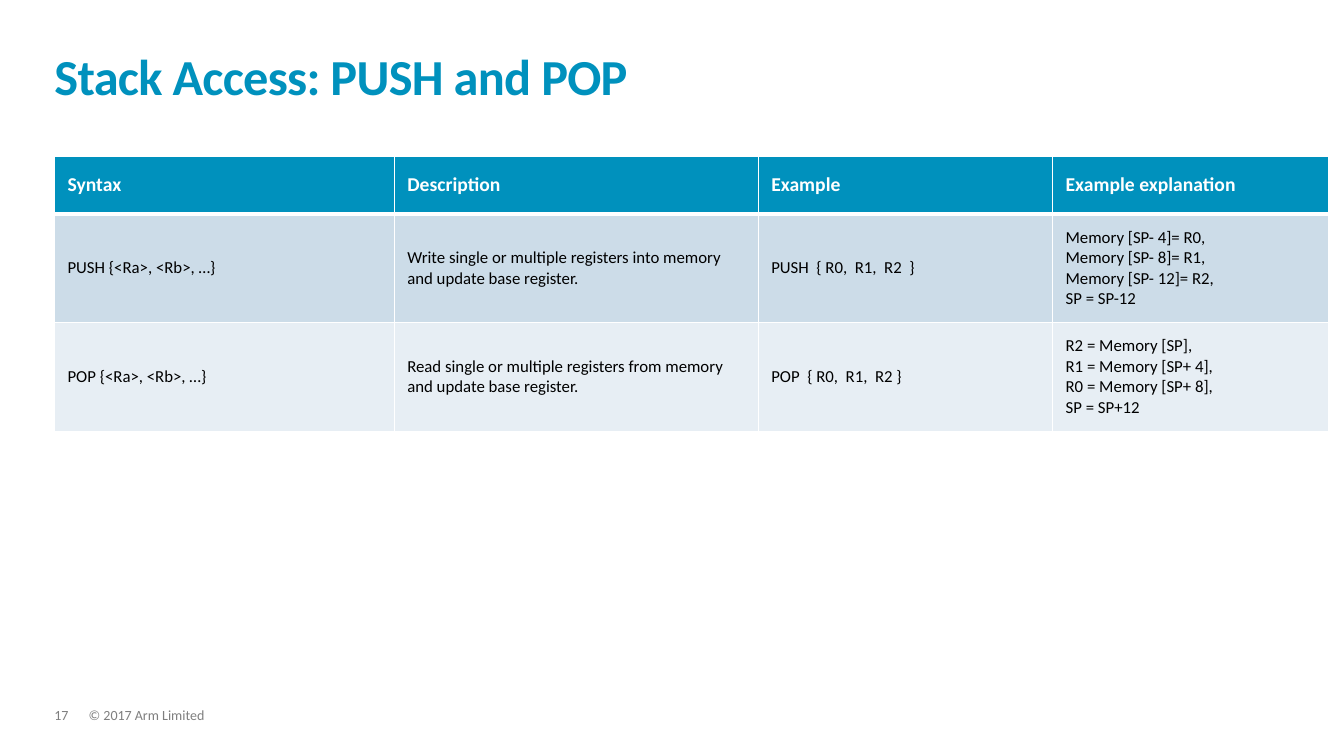
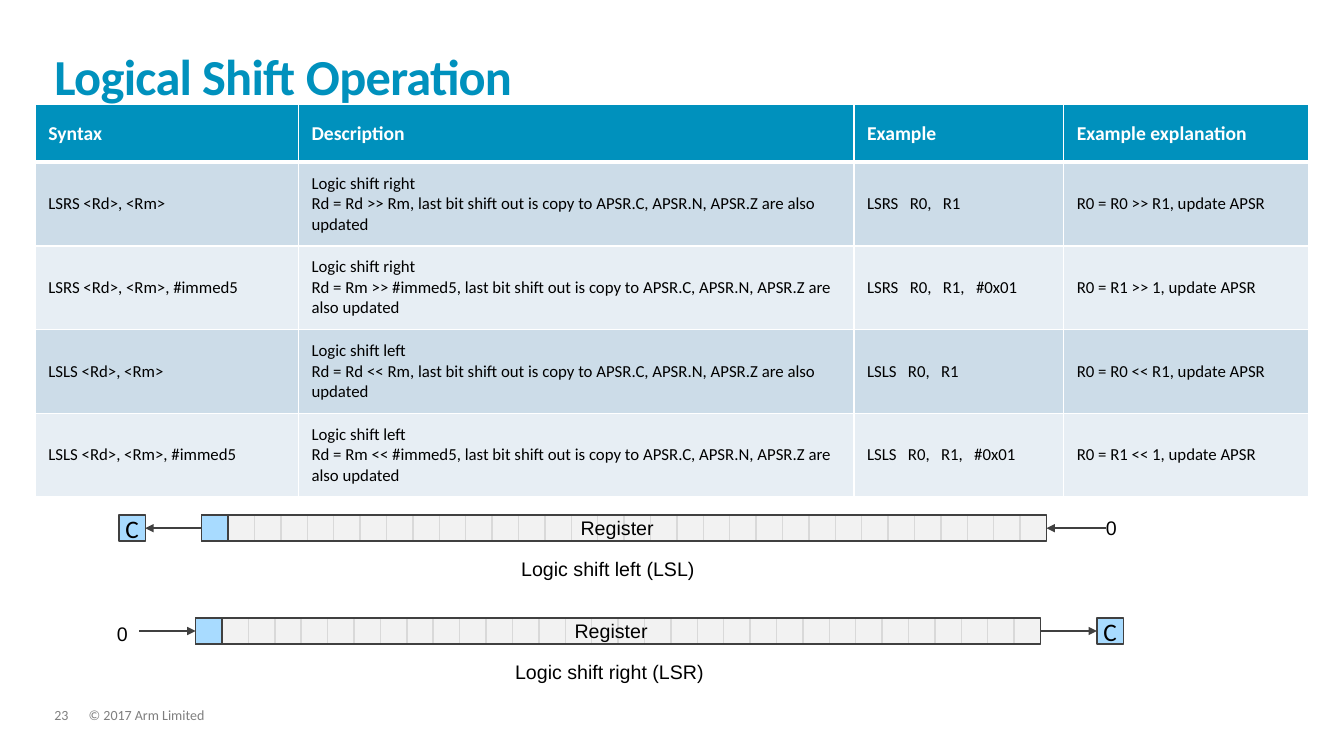
"""Build two slides on stack access and logical shifts."""
import lxml.etree
import pptx
import pptx.dml.color
import pptx.enum.shapes
import pptx.enum.text
import pptx.oxml.ns
import pptx.util

HEAD = ("Syntax", "Description", "Example", "Example explanation")
FLAGS = "last bit shift out is copy to APSR.C, APSR.N, APSR.Z are also updated"
PAGES = [
    {
        "title": "Stack Access: PUSH and POP",
        "page": "17",
        "spot": (0.54, 1.55),
        "cols": (3.37, 3.61, 2.92, 2.74),
        "deep": 1.08,
        "rows": [
            ("PUSH {<Ra>, <Rb>, …}",
             "Write single or multiple registers into memory and update base register.",
             "PUSH  { R0,  R1,  R2  }",
             "Memory [SP- 4]= R0,\nMemory [SP- 8]= R1,\nMemory [SP- 12]= R2,\nSP = SP-12"),
            ("POP {<Ra>, <Rb>, …}",
             "Read single or multiple registers from memory and update base register.",
             "POP  { R0,  R1,  R2 }",
             "R2 = Memory [SP],\nR1 = Memory [SP+ 4],\nR0 = Memory [SP+ 8],\nSP = SP+12"),
        ],
        "shifts": [],
    },
    {
        "title": "Logical Shift Operation",
        "page": "23",
        "spot": (0.35, 1.04),
        "cols": (2.61, 5.51, 2.08, 2.43),
        "deep": 0.83,
        "rows": [
            ("LSRS <Rd>, <Rm>", f"Logic shift right\nRd = Rd >> Rm, {FLAGS}",
             "LSRS   R0,   R1", "R0 = R0 >> R1, update APSR"),
            ("LSRS <Rd>, <Rm>, #immed5", f"Logic shift right\nRd = Rm >> #immed5, {FLAGS}",
             "LSRS   R0,   R1,   #0x01", "R0 = R1 >> 1, update APSR"),
            ("LSLS <Rd>, <Rm>", f"Logic shift left\nRd = Rd << Rm, {FLAGS}",
             "LSLS   R0,   R1", "R0 = R0 << R1, update APSR"),
            ("LSLS <Rd>, <Rm>, #immed5", f"Logic shift left\nRd = Rm << #immed5, {FLAGS}",
             "LSLS   R0,   R1,   #0x01", "R0 = R1 << 1, update APSR"),
        ],
        "shifts": [
            {"name": "Logic shift left (LSL)", "left": 2, "top": 5.11, "carry": 1.18,
             "zero": (10.87, 5.07), "arrows": [(2, 1.44), (10.97, 10.38)]},
            {"name": "Logic shift right (LSR)", "left": 1.94, "top": 6.13, "carry": 10.88,
             "zero": (1.06, 6.12), "arrows": [(10.32, 10.88), (1.38, 1.94)]},
        ],
    },
]
BITS = 32
SPAN = 8.38
BIT = SPAN / BITS
TALL = 0.26

Inches = pptx.util.Inches
Pt = pptx.util.Pt
qn = pptx.oxml.ns.qn
ANCHOR = pptx.enum.text.MSO_ANCHOR
RECT = pptx.enum.shapes.MSO_SHAPE.RECTANGLE


class Theme:
    sans, plain = "Calibri", "Arial"
    blue, white, black, gray = "0091BD", "FFFFFF", "000000", "7F7F7F"
    bands = ("CCDCE8", "E7EEF4")
    pale, rule, dark, sky = "F2F2F2", "D9D9D9", "404040", "A8DBFF"
    title, carry, label, body, foot = 36, 18, 14, 12, 10


def tint(code):
    return pptx.dml.color.RGBColor.from_string(code)


def style(frame, size, color=Theme.black, font=Theme.sans, bold=False):
    for par in frame.paragraphs:
        for run in par.runs:
            run.font.name = font
            run.font.size = Pt(size)
            run.font.bold = bold
            run.font.color.rgb = tint(color)


def write(slide, text, at, size, color=Theme.black, font=Theme.sans, bold=False, grow=True):
    frame = slide.shapes.add_textbox(*map(Inches, at)).text_frame
    frame.word_wrap = True
    kind = pptx.enum.text.MSO_AUTO_SIZE
    frame.auto_size = kind.SHAPE_TO_FIT_TEXT if grow else kind.NONE
    frame.text = text
    style(frame, size, color, font, bold)
    return frame


def trim(frame):
    frame.margin_left = frame.margin_top = frame.margin_right = frame.margin_bottom = 0


def add_frame(slide, title, page):
    for text, left, wide in (("© 2017 Arm Limited", 0.88, 9.13), (page, 0.54, 0.34)):
        foot = write(slide, text, (left, 7.03, wide, 0.15), Theme.foot, Theme.gray)
        trim(foot)
        foot.paragraphs[0].line_spacing = 0.9
        foot.paragraphs[0].space_after = Pt(6)
    head = write(slide, title, (0.54, 0.32, 12.23, 0.73), Theme.title, Theme.blue,
                 bold=True, grow=False)
    trim(head)
    head.vertical_anchor = ANCHOR.BOTTOM
    par = head.paragraphs[0]
    par.line_spacing = 0.85
    par.runs[0].font._element.set("spc", "-50")


def edge(cell, first):
    props = cell._tc.get_or_add_tcPr()
    for side in "LRTB":
        width = Pt(3 if first and side == "B" else 1)
        line = lxml.etree.SubElement(props, qn(f"a:ln{side}"), w=str(int(width)))
        fill = lxml.etree.SubElement(line, qn("a:solidFill"))
        lxml.etree.SubElement(fill, qn("a:srgbClr"), val=Theme.white)


def add_grid(slide, page):
    rows = [HEAD, *page["rows"]]
    highs = [0.57] + [page["deep"]] * len(page["rows"])
    size = (sum(page["cols"]), sum(highs))
    grid = slide.shapes.add_table(len(rows), len(HEAD),
                                  *map(Inches, (*page["spot"], *size))).table
    for col, wide in zip(grid.columns, page["cols"]):
        col.width = Inches(wide)
    for y, (row, high) in enumerate(zip(rows, highs)):
        grid.rows[y].height = Inches(high)
        first = y == 0
        for x, text in enumerate(row):
            cell = grid.cell(y, x)
            edge(cell, first)
            cell.fill.solid()
            cell.fill.fore_color.rgb = tint(Theme.blue if first else Theme.bands[(y - 1) % 2])
            cell.vertical_anchor = ANCHOR.MIDDLE
            cell.margin_left = cell.margin_right = Inches(0.13)
            cell.margin_top = cell.margin_bottom = Inches(0.05)
            cell.text_frame.text = text
            if first:
                style(cell.text_frame, Theme.label, Theme.white, bold=True)
            else:
                style(cell.text_frame, Theme.body)


def add_box(slide, left, top, wide, line, fill=None):
    box = slide.shapes.add_shape(RECT, *map(Inches, (left, top, wide, TALL)))
    box.shadow.inherit = False
    if fill:
        box.fill.solid()
        box.fill.fore_color.rgb = tint(fill)
    else:
        box.fill.background()
    box.line.color.rgb = tint(line)
    box.line.width = Pt(1)
    return box


def add_arrow(slide, start, end, y):
    kind = pptx.enum.shapes.MSO_CONNECTOR.STRAIGHT
    arrow = slide.shapes.add_connector(kind, *map(Inches, (start, y, end, y)))
    arrow.line.color.rgb = tint(Theme.dark)
    arrow.line.width = Pt(1.5)
    lxml.etree.SubElement(arrow.line._get_or_add_ln(), qn("a:tailEnd"), type="triangle")
    lxml.etree.SubElement(arrow._element.spPr, qn("a:effectLst"))


def add_shift(slide, shift):
    left, top = shift["left"], shift["top"]
    for bit in range(1, BITS):
        add_box(slide, left + bit * BIT, top, BIT, Theme.rule, Theme.pale)
    add_box(slide, left, top, SPAN, Theme.dark)
    add_box(slide, left, top, BIT, Theme.dark, Theme.sky)
    carry = add_box(slide, shift["carry"], top, BIT, Theme.dark, Theme.sky).text_frame
    carry.word_wrap = False
    carry.vertical_anchor = ANCHOR.MIDDLE
    carry.text = "C"
    carry.paragraphs[0].alignment = pptx.enum.text.PP_ALIGN.CENTER
    style(carry, Theme.carry)
    for start, end in shift["arrows"]:
        add_arrow(slide, start, end, top + TALL / 2)
    for text, at in (
        ("Register", (left + 3.66, top - 0.04, 1.38, 0.34)),
        (shift["name"], (left + 3.07, top + 0.37, 3.15, 0.34)),
        ("0", (*shift["zero"], 0.48, 0.34)),
    ):
        write(slide, text, at, Theme.label, font=Theme.plain)


def main():
    deck = pptx.Presentation()
    deck.slide_width, deck.slide_height = Inches(13.33), Inches(7.5)
    for page in PAGES:
        slide = deck.slides.add_slide(deck.slide_layouts[6])
        add_frame(slide, page["title"], page["page"])
        add_grid(slide, page)
        for shift in page["shifts"]:
            add_shift(slide, shift)
    deck.save("out.pptx")


if __name__ == "__main__":
    main()
